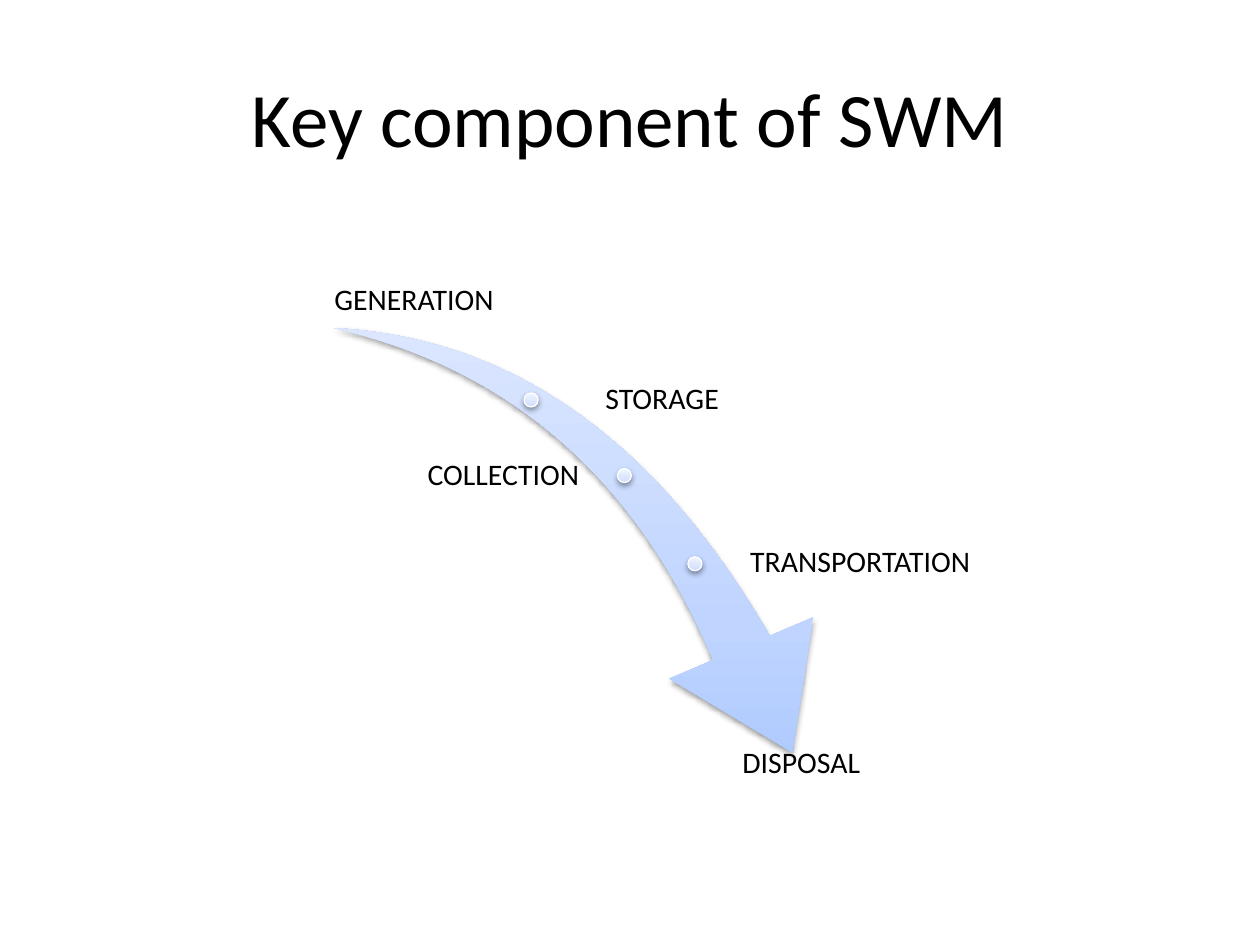
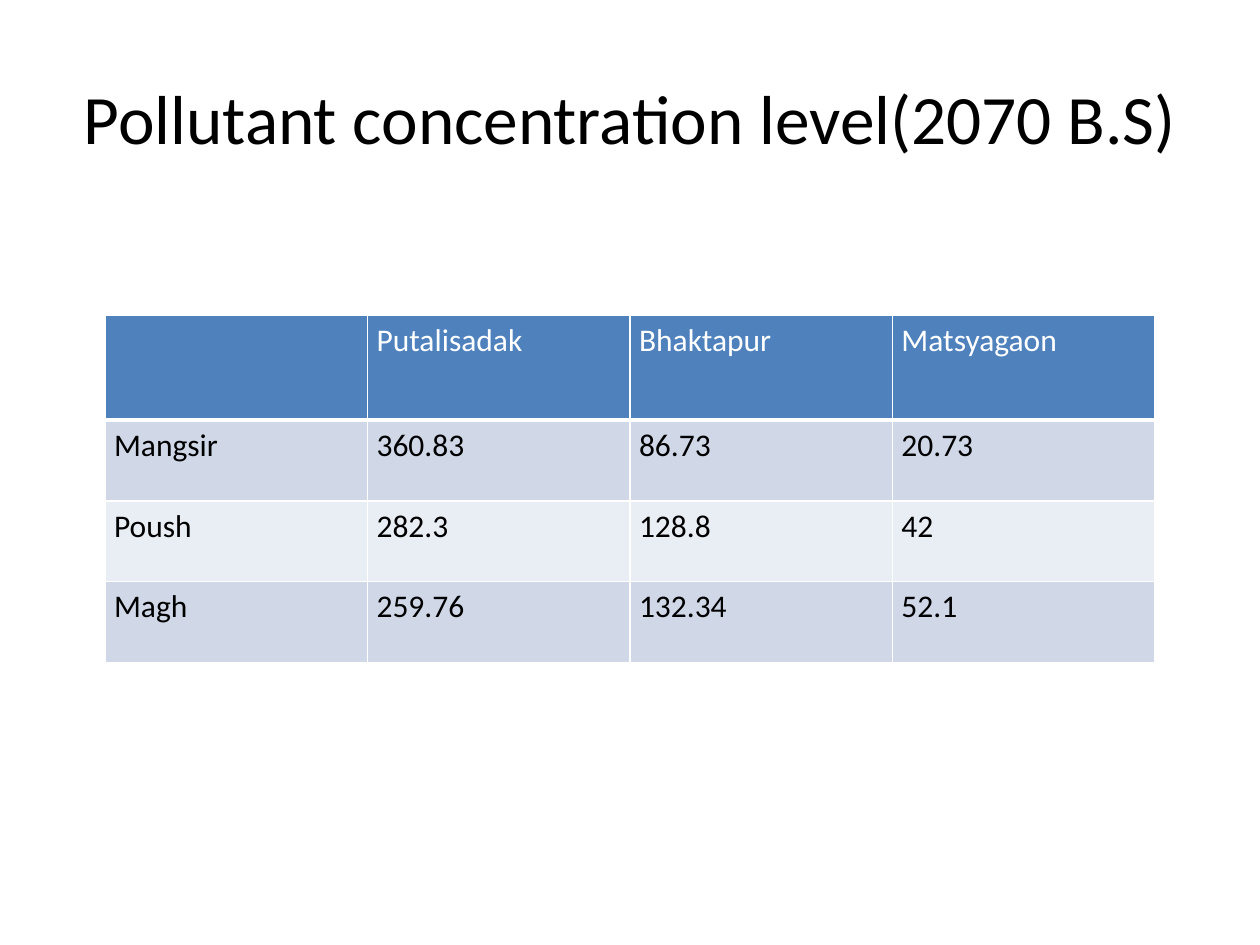
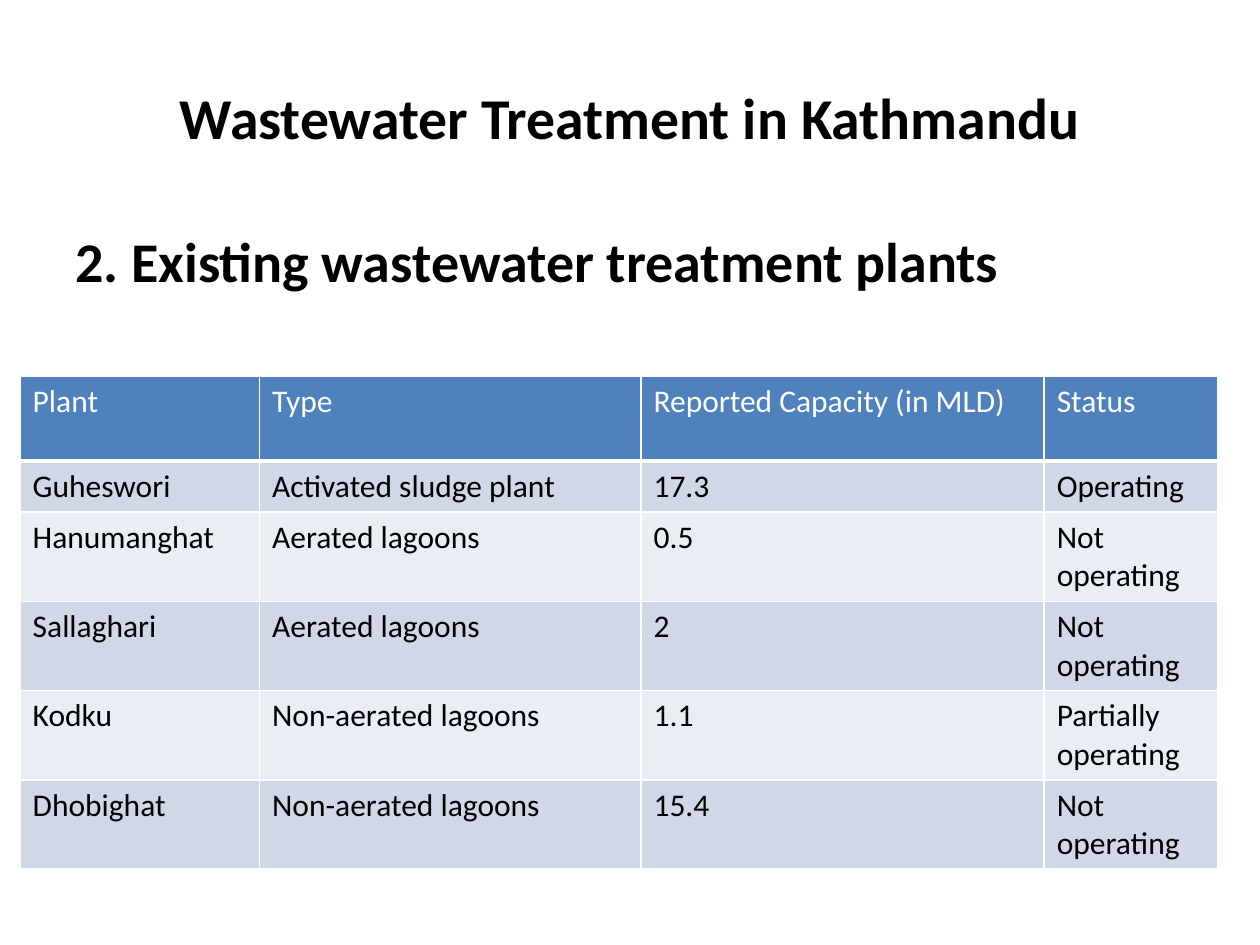
"""Build three slides on waste management and pollution in Kathmandu."""
import pptx
import pptx.dml.color
import pptx.enum.shapes
import pptx.enum.text
import pptx.oxml
import pptx.oxml.ns
import pptx.util

Pt = pptx.util.Pt
qn = pptx.oxml.ns.qn
ALIGN = pptx.enum.text.PP_ALIGN
ANCHOR = pptx.enum.text.MSO_ANCHOR
SHAPE = pptx.enum.shapes.MSO_SHAPE

FONT = "Calibri"
COLORS = {
    "text": "000000",
    "white": "FFFFFF",
    "header": "4F81BD",
    "band_dark": "D0D8E8",
    "band_light": "E9EDF4",
    "shadow": "000000",
}
ARROW_STOPS = [(0, "A4C4FF"), (35, "BFD4FF"), (100, "E6EEFF")]
DOT_STOPS = [(0, "CDDDFE"), (35, "DBE6FE"), (100, "F0F5FF")]

DOT_SIZE = 8
DOTS = [(299.5, 224.6), (352.8, 267.8), (393.1, 318.2)]
STAGE_HEIGHT = 56.9
STAGES = [
    ("GENERATION", 164.2, 126, 144.7, ALIGN.CENTER, ANCHOR.BOTTOM),
    ("STORAGE", 344.2, 200.2, 211.7, ALIGN.LEFT, ANCHOR.MIDDLE),
    ("COLLECTION", 164.2, 243.4, 168.5, ALIGN.RIGHT, ANCHOR.MIDDLE),
    ("TRANSPORTATION", 427, 293, 129.6, ALIGN.LEFT, ANCHOR.MIDDLE),
    ("DISPOSAL", 360, 425.5, 195.8, ALIGN.CENTER, ANCHOR.TOP),
]

POLLUTANTS = [
    ["", "Putalisadak", "Bhaktapur", "Matsyagaon"],
    ["Mangsir", "360.83", "86.73", "20.73"],
    ["Poush", "282.3", "128.8", "42"],
    ["Magh", "259.76", "132.34", "52.1"],
]
PLANTS = [
    ["Plant", "Type", "Reported Capacity (in MLD)", "Status"],
    ["Guheswori", "Activated sludge plant", "17.3", "Operating"],
    ["Hanumanghat", "Aerated lagoons", "0.5", "Not operating"],
    ["Sallaghari", "Aerated lagoons", "2", "Not operating"],
    ["Kodku", "Non-aerated lagoons", "1.1", "Partially operating"],
    ["Dhobighat", "Non-aerated lagoons", "15.4", "Not operating"],
]


def rgb(name):
    """Return a named colour."""
    return pptx.dml.color.RGBColor.from_string(COLORS[name])


def xml(text):
    """Parse a DrawingML fragment that uses the a: prefix."""
    head, rest = text.split(" ", 1)
    return pptx.oxml.parse_xml(f"{head} {pptx.oxml.ns.nsdecls('a')} {rest}")


def style_text(frame, size, color="text", bold=False, align=ALIGN.LEFT):
    """Format every run of a text frame alike."""
    for paragraph in frame.paragraphs:
        paragraph.alignment = align
        for run in paragraph.runs:
            run.font.name = FONT
            run.font.size = Pt(size)
            run.font.bold = bold
            run.font.color.rgb = rgb(color)


def add_text(slide, text, box, size, bold=False, align=ALIGN.LEFT, anchor=ANCHOR.TOP):
    """Add a wrapped text box and return its frame."""
    frame = slide.shapes.add_textbox(*map(Pt, box)).text_frame
    frame.word_wrap = True
    frame.vertical_anchor = anchor
    frame.text = text
    style_text(frame, size, bold=bold, align=align)
    return frame


def add_title_slide(deck, title, size, bold=False):
    """Add a blank slide with the shared centred title."""
    slide = deck.slides.add_slide(deck.slide_layouts[6])
    add_text(slide, title, (36, 21.6, 648, 90), size, bold, ALIGN.CENTER, ANCHOR.MIDDLE)
    return slide


def add_glossy_shape(slide, kind, box, stops, outlined=False):
    """Add a shape with a vertical gradient and a soft drop shadow."""
    shape = slide.shapes.add_shape(kind, *map(Pt, box))
    if outlined:
        shape.line.color.rgb = rgb("white")
        shape.line.width = Pt(0.75)
    else:
        shape.line.fill.background()
    shape.fill.background()
    shape.shadow.inherit = False
    properties = shape.element.spPr
    colors = "".join(
        f'<a:gs pos="{place * 1000}"><a:srgbClr val="{color}"/></a:gs>'
        for place, color in stops)
    properties.replace(properties.find(qn("a:noFill")), xml(
        f'<a:gradFill rotWithShape="0"><a:gsLst>{colors}</a:gsLst>'
        '<a:lin ang="16200000" scaled="0"/></a:gradFill>'))
    properties.find(qn("a:effectLst")).append(xml(
        f'<a:outerShdw blurRad="{Pt(3.15)}" dist="{Pt(1.57)}" dir="5400000" '
        f'rotWithShape="0"><a:srgbClr val="{COLORS["shadow"]}">'
        '<a:alpha val="38000"/></a:srgbClr></a:outerShdw>'))
    return shape


def add_stage(slide, text, left, top, width, align, anchor):
    """Add the label of one stage beside the arrow."""
    frame = add_text(slide, text, (left, top, width, STAGE_HEIGHT), 17,
                     align=align, anchor=anchor)
    frame.margin_left = frame.margin_right = Pt(1.7)
    frame.margin_top = frame.margin_bottom = Pt(1.7)
    frame.paragraphs[0].line_spacing = 0.9


def set_borders(cell, row):
    """Draw white cell borders, thicker under the header row."""
    widths = {"L": 1, "R": 1, "T": 3 if row == 1 else 1, "B": 3 if row == 0 else 1}
    for side, width in widths.items():
        cell._tc.get_or_add_tcPr().append(xml(
            f'<a:ln{side} w="{Pt(width)}"><a:solidFill>'
            f'<a:srgbClr val="{COLORS["white"]}"/></a:solidFill></a:ln{side}>'))


def add_banded_table(slide, rows, left, top, widths, heights, side_margin):
    """Add a table with a blue header and alternating body bands."""
    table = slide.shapes.add_table(
        len(rows), len(widths), Pt(left), Pt(top),
        Pt(sum(widths)), Pt(sum(heights))).table
    for column, width in zip(table.columns, widths):
        column.width = Pt(width)
    for index, (values, height) in enumerate(zip(rows, heights)):
        table.rows[index].height = Pt(height)
        band = "header" if index == 0 else ("band_light", "band_dark")[index % 2]
        for cell, value in zip(table.rows[index].cells, values):
            set_borders(cell, index)
            cell.fill.solid()
            cell.fill.fore_color.rgb = rgb(band)
            cell.margin_left = cell.margin_right = Pt(side_margin)
            cell.margin_top = cell.margin_bottom = Pt(3.6)
            cell.text_frame.text = value
            style_text(cell.text_frame, 18, "text" if index else "white")


def build_components(deck):
    """Show the stages of solid waste management along an arrow."""
    slide = add_title_slide(deck, "Key component of SWM", 44)
    arrow = add_glossy_shape(slide, SHAPE.SWOOSH_ARROW,
                             (184.3, 196.6, 307.4, 214.6), ARROW_STOPS)
    arrow.rotation = 73.3
    arrow.adjustments[0] = 0.163
    arrow.adjustments[1] = 0.314
    for left, top in DOTS:
        add_glossy_shape(slide, SHAPE.OVAL, (left, top, DOT_SIZE, DOT_SIZE),
                         DOT_STOPS, outlined=True)
    for stage in STAGES:
        add_stage(slide, *stage)


def build_pollutants(deck):
    """Show pollutant levels by month and place."""
    slide = add_title_slide(deck, "Pollutant concentration level(2070 B.S)", 39.6)
    add_banded_table(slide, POLLUTANTS, 60, 180, [150] * 4, [60] + [46.2] * 3, 5.2)


def build_plants(deck):
    """Show the wastewater treatment plants and their status."""
    slide = add_title_slide(deck, "Wastewater Treatment in Kathmandu", 33, bold=True)
    add_text(slide, "2. Existing wastewater treatment plants",
             (36, 126, 648, 356.4), 32, bold=True)
    add_banded_table(slide, PLANTS, 11.5, 214.8, [136.8, 218, 230.4, 99.4],
                     [48.6, 29.2] + [51] * 4, 7.2)


def main():
    """Build and save the deck."""
    deck = pptx.Presentation()
    deck.slide_width, deck.slide_height = Pt(720), Pt(540)
    build_components(deck)
    build_pollutants(deck)
    build_plants(deck)
    deck.save("out.pptx")


main()
